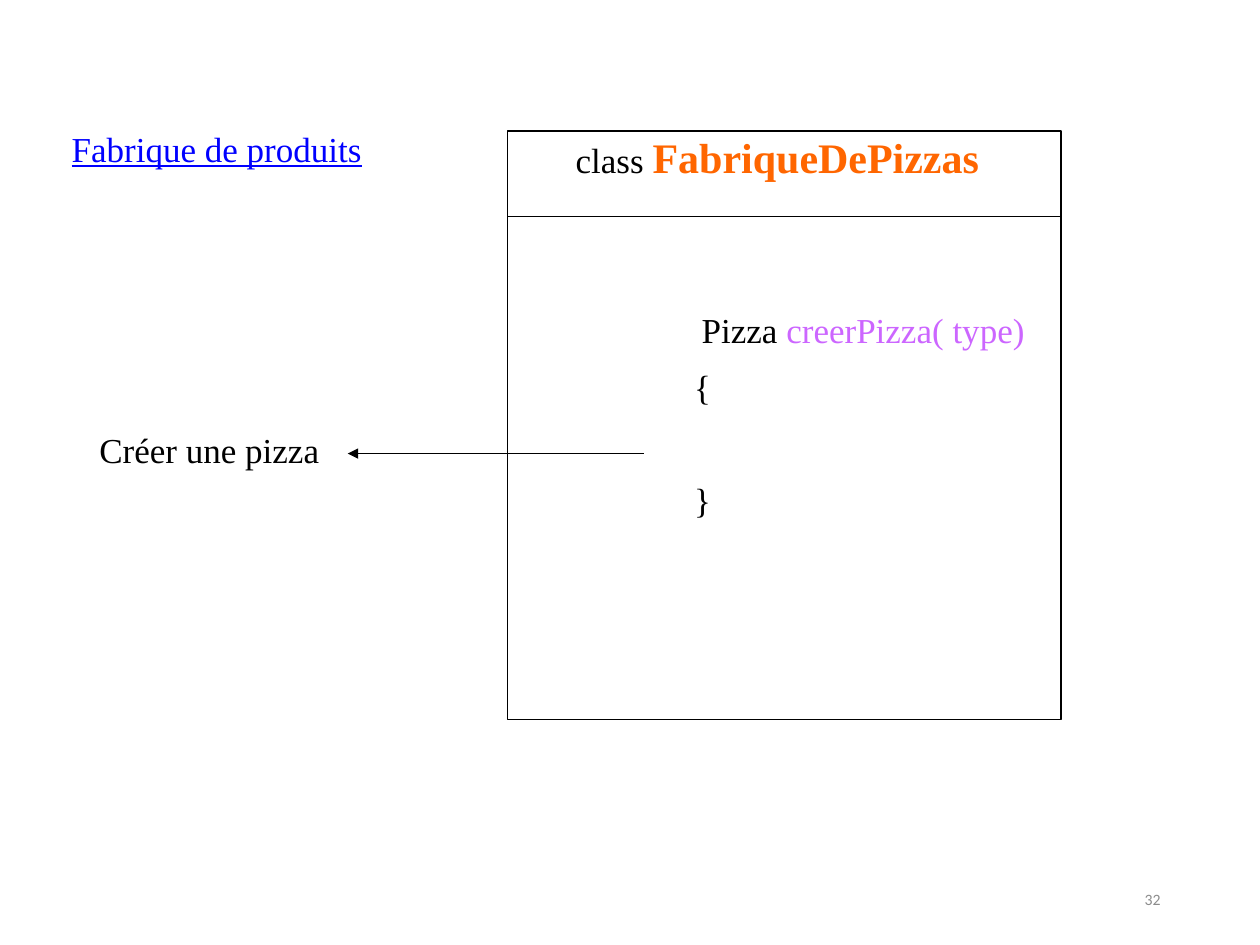
from lxml import etree
from pptx import Presentation
from pptx.dml.color import RGBColor
from pptx.enum.shapes import MSO_CONNECTOR, MSO_SHAPE
from pptx.enum.text import MSO_ANCHOR, PP_ALIGN
from pptx.oxml.ns import qn
from pptx.util import Inches, Pt

STRAIGHT = MSO_CONNECTOR.STRAIGHT
RECTANGLE = MSO_SHAPE.RECTANGLE
TOP, MIDDLE = MSO_ANCHOR.TOP, MSO_ANCHOR.MIDDLE
LEFT, RIGHT = PP_ALIGN.LEFT, PP_ALIGN.RIGHT

BLACK, BLUE, ORANGE = "000000", "0000FF", "FF6600"
PURPLE, GREY = "CC66FF", "8C8C8C"


def colour(value):
    return RGBColor.from_string(value)


class Page:
    font_name = "Times New Roman"
    font_size = 20
    line_width = Pt(0.75)
    line_spacing = 0.9

    def __init__(self, slide):
        self.shapes = slide.shapes

    def span(self, para, text, ink=BLACK, size=font_size, font=font_name,
             bold=False, underline=False):
        run = para.add_run()
        run.text = text
        run.font.name = font
        run.font.size = Pt(size)
        run.font.bold = bold
        run.font.underline = underline
        run.font.color.rgb = colour(ink)

    def para(self, frame, first=False, indent=0, before=0):
        """Return a left-aligned paragraph; indent in inches, before in points."""
        para = frame.paragraphs[0] if first else frame.add_paragraph()
        para.alignment = LEFT
        para.line_spacing = self.line_spacing
        if before:
            para.space_before = Pt(before)
        if indent:
            properties = para._p.get_or_add_pPr()
            properties.set("marL", str(Inches(indent)))
            properties.set("indent", "0")
        return para

    def label(self, left, top, width, text, **style):
        box = self.shapes.add_textbox(Inches(left), Inches(top), Inches(width), Inches(0.4))
        box.text_frame.word_wrap = True
        para = self.para(box.text_frame, first=True)
        self.span(para, text, **style)
        return box

    def frame_box(self, left, top, width, height):
        """Draw an unfilled outlined rectangle and return its text frame."""
        box = self.shapes.add_shape(
            RECTANGLE, Inches(left), Inches(top), Inches(width), Inches(height))
        box.shadow.inherit = False
        box.fill.background()
        box.line.color.rgb = colour(BLACK)
        box.line.width = self.line_width
        box.text_frame.word_wrap = True
        box.text_frame.vertical_anchor = TOP
        return box.text_frame

    def rule(self, start, end, y, arrow=False):
        """Draw a horizontal line, with an optional arrowhead at its end."""
        line = self.shapes.add_connector(
            STRAIGHT, Inches(start), Inches(y), Inches(end), Inches(y))
        line.line.color.rgb = colour(BLACK)
        line.line.width = self.line_width
        if arrow:
            etree.SubElement(line.line._get_or_add_ln(), qn("a:tailEnd"), type="triangle")
        etree.SubElement(line._element.spPr, qn("a:effectLst"))

    def page_number(self, text):
        box = self.label(7.06, 6.95, 2.25, text, ink=GREY, size=9, font="Calibri")
        box.text_frame.vertical_anchor = MIDDLE
        box.text_frame.paragraphs[0].alignment = RIGHT


def main():
    deck = Presentation()
    deck.slide_width, deck.slide_height = Inches(10), Inches(7.5)
    page = Page(deck.slides.add_slide(deck.slide_layouts[6]))

    page.page_number("32")

    left, width = 4.03, 4.39
    body = page.frame_box(left, 1.04, width, 4.67)
    heading = page.para(body, first=True, indent=0.44)
    page.span(heading, "class ")
    page.span(heading, "FabriqueDePizzas", ORANGE, size=24, bold=True)
    signature = page.para(body, indent=1.44, before=74.7)
    page.span(signature, "Pizza ")
    page.span(signature, "creerPizza( type)", PURPLE)
    for brace, before in (("{", 11), ("}", 42.7)):
        page.span(page.para(body, indent=1.38, before=before), brace)
    page.rule(left, left + width, 1.72)

    page.label(0.47, 1, 2.96, "Fabrique de produits", ink=BLUE, underline=True)
    page.rule(5.11, 2.76, 3.6, arrow=True)
    page.label(0.69, 3.39, 2.06, "Créer une pizza")

    deck.save("out.pptx")


if __name__ == "__main__":
    main()
